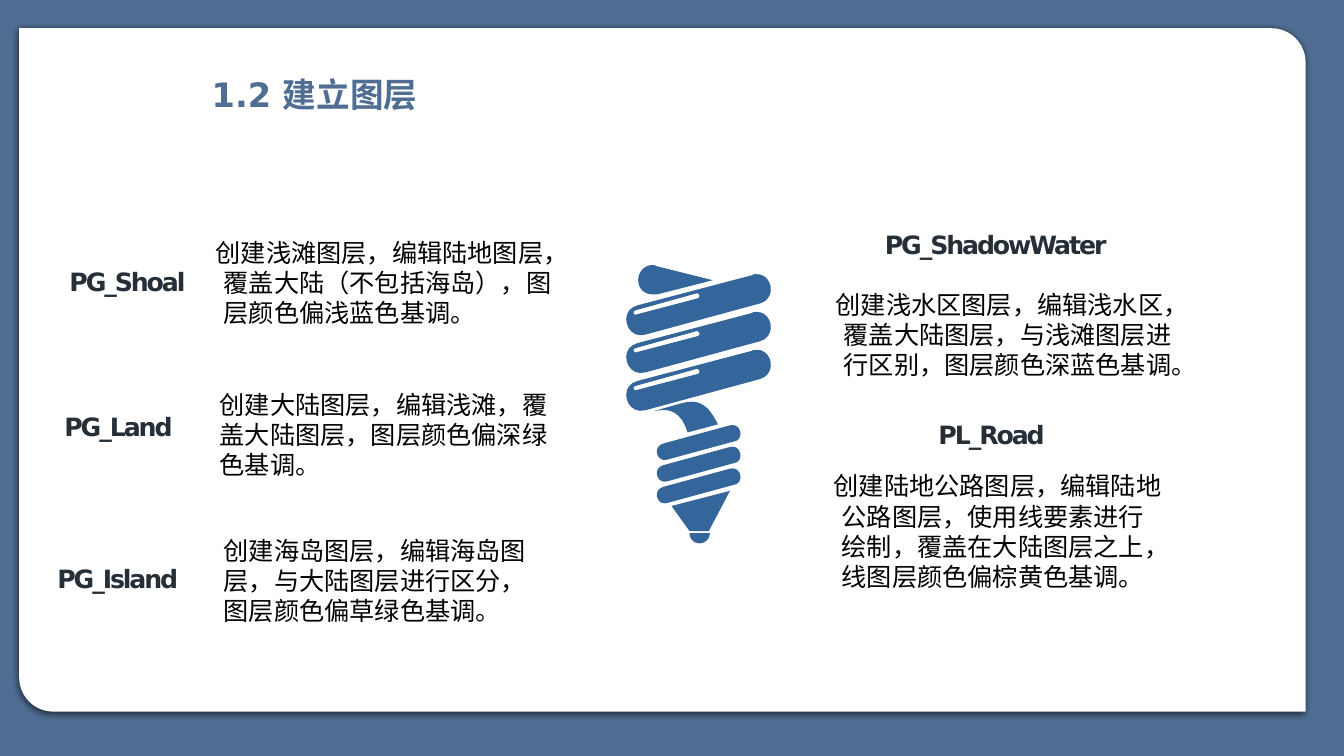
"""Build the slide that lists the map layers around a spiral bulb pencil."""
import dataclasses
import typing

import lxml.etree
import pptx
import pptx.dml.color
import pptx.enum.dml
import pptx.enum.shapes
import pptx.enum.text
import pptx.oxml.ns
import pptx.util

Inches = pptx.util.Inches
Anchor = pptx.enum.text.MSO_ANCHOR
Align = pptx.enum.text.PP_ALIGN
Fit = pptx.enum.text.MSO_AUTO_SIZE
Contour = list[tuple[float, ...]]

FONT = "DejaVu Sans"
SLATE, WHITE, INK, BLACK, BULB_BLUE = "506E94", "FFFFFF", "262F38", "000000", "35669B"
UNITS_PER_INCH = 1000
CURVE_STEPS = 10


@dataclasses.dataclass
class Label:
    text: str
    left: float
    top: float
    height: float
    align: Align


@dataclasses.dataclass
class Note:
    lines: list[str]
    left: float
    top: float
    width: float
    height: float
    margin: float = 0
    indent: float = 0


@dataclasses.dataclass
class BulbPart:
    contours: list[Contour]
    copies: int = 1
    pitch: float = 0


LABELS = [
    Label("PG_ShadowWater", 8.6, 2.18, 0.53, Align.CENTER),
    Label("PL_Road", 8.56, 4.06, 0.53, Align.CENTER),
    Label("PG_Shoal", 0.59, 2.54, 0.55, Align.LEFT),
    Label("PG_Land", 0.54, 3.97, 0.55, Align.LEFT),
    Label("PG_Island", 0.47, 5.48, 0.55, Align.LEFT),
]

NOTES = [
    Note(["创建大陆图层，编辑浅滩，覆", "盖大陆图层，图层颜色偏深绿", "色基调。"], 2.08, 3.81, 4.27, 1.01),
    Note(["创建浅滩图层，编辑陆地图层，覆盖大陆（不包括海岛），图层颜色偏浅蓝色基调。"],
         1.87, 2.3, 3.85, 1.01, 0.25, -0.08),
    Note(["创建海岛图层，编辑海岛图层，与大陆图层进行区分，图层颜色偏草绿色基调。"],
         2.12, 5.26, 3.25, 1.31),
    Note(["创建浅水区图层，编辑浅水区，覆盖大陆图层，与浅滩图层进行区别，图层颜色深蓝色基调。"],
         8.02, 2.82, 3.76, 1.01, 0.25, -0.08),
    Note(["创建陆地公路图层，编辑陆地公路图层，使用线要素进行绘制，覆盖在大陆图层之上，线图层颜色偏棕黄色基调。"],
         8, 4.62, 3.67, 1.62, 0.25, -0.08),
]

COIL = [(7.5, 2.72), (7.66, 2.71, 7.71, 2.96, 7.54, 3.01), (6.4, 3.32),
        (6.21, 3.37, 6.13, 3.08, 6.32, 3.03), (7.46, 2.73), (7.47, 2.72, 7.49, 2.72, 7.5, 2.72)]
GLINT = [(6.91, 2.91), (6.3, 3.08), (6.27, 3.09, 6.29, 3.13, 6.31, 3.12), (6.92, 2.96),
         (6.95, 2.95, 6.94, 2.91, 6.91, 2.91)]
THREAD = [(6.58, 4.4), (6.47, 4.43, 6.51, 4.59, 6.62, 4.56), (7.28, 4.38),
          (7.39, 4.36, 7.35, 4.19, 7.24, 4.22)]
NECK = [(6.76, 4), (6.97, 3.94, 7.05, 4.07, 7.12, 4.21), (6.82, 4.29),
        (6.74, 4.03, 6.58, 4.06, 6.48, 4.08)]
CONE = [(7.24, 4.87), (7.03, 5.27), (6.84, 5.27), (6.66, 5.02)]
TIP = [(7.04, 5.29), (7.04, 5.35, 6.99, 5.39, 6.94, 5.39), (6.88, 5.39, 6.84, 5.35, 6.84, 5.29)]
CAP = [(6.47, 2.63), (6.48, 2.63, 6.5, 2.63, 6.51, 2.64), (7.07, 2.78), (6.52, 2.92),
       (6.5, 2.92, 6.49, 2.92, 6.47, 2.92), (6.39, 2.92, 6.33, 2.86, 6.33, 2.78),
       (6.33, 2.7, 6.39, 2.63, 6.47, 2.63)]

BULB = [
    BulbPart([THREAD], 3, 0.215),
    BulbPart([NECK]),
    BulbPart([CONE]),
    BulbPart([TIP]),
    BulbPart([CAP]),
    BulbPart([GLINT, COIL], 3, 0.375),
]


def colour(target: typing.Any, value: str) -> None:
    """Give a fill or a font one solid colour."""
    if hasattr(target, "solid"):
        target.solid()
        target = target.fore_color
    else:
        target = target.color
    target.rgb = pptx.dml.color.RGBColor.from_string(value)


def apply(target: typing.Any, values: dict[str, typing.Any]) -> None:
    """Set every named attribute on the target."""
    for name, value in values.items():
        setattr(target, name, value)


def write(box: typing.Any, lines: list[str], size: float, ink: str, bold: bool,
          frame_format: dict[str, typing.Any], para_format: dict[str, typing.Any]) -> None:
    """Fill a text shape with one paragraph per line."""
    frame = box.text_frame
    apply(frame, {"word_wrap": True, **frame_format})
    for index, line in enumerate(lines):
        para = frame.add_paragraph() if index else frame.paragraphs[0]
        apply(para, para_format)
        span = para.add_run()
        span.text = line
        apply(span.font, {"name": FONT, "size": pptx.util.Pt(size), "bold": bold})
        colour(span.font, ink)


def add_card(page: typing.Any) -> None:
    """Draw the white card with two rounded corners and a soft shadow."""
    card = page.shapes.add_shape(pptx.enum.shapes.MSO_SHAPE.ROUND_2_DIAG_RECTANGLE,
                                 Inches(0.19), Inches(0.28), Inches(12.76), Inches(6.78))
    card.adjustments[0], card.adjustments[1] = 0, 0.05
    colour(card.fill, WHITE)
    card.line.fill.background()
    card.shadow.inherit = False
    qn = pptx.oxml.ns.qn
    effects = card.element.spPr.find(qn("a:effectLst"))
    shadow = lxml.etree.SubElement(effects, qn("a:outerShdw"), blurRad="57150", dist="19050",
                                   dir="5400000", algn="ctr", rotWithShape="0")
    tone = lxml.etree.SubElement(shadow, qn("a:srgbClr"), val=BLACK)
    lxml.etree.SubElement(tone, qn("a:alpha"), val="63000")


def add_title(page: typing.Any) -> None:
    """Place and format the slide title."""
    title = page.shapes.title
    apply(title, {"left": Inches(2), "top": Inches(0.68), "width": Inches(5.66), "height": Inches(0.5)})
    write(title, ["1.2 建立图层"], 24, SLATE, True,
          {"vertical_anchor": Anchor.TOP, "auto_size": Fit.SHAPE_TO_FIT_TEXT}, {"alignment": Align.LEFT})


def add_label(page: typing.Any, label: Label) -> None:
    """Write a layer name in tight bold type."""
    box = page.shapes.add_textbox(Inches(label.left), Inches(label.top), Inches(2.55), Inches(label.height))
    write(box, [label.text], 18, INK, True, {"vertical_anchor": Anchor.MIDDLE},
          {"alignment": label.align, "line_spacing": 0.9})
    box.text_frame.paragraphs[0].runs[0].font._element.set("spc", "-150")


def add_note(page: typing.Any, note: Note) -> None:
    """Write a layer description with its indents."""
    box = page.shapes.add_textbox(Inches(note.left), Inches(note.top), Inches(note.width), Inches(note.height))
    write(box, note.lines, 18, BLACK, False, {"auto_size": Fit.SHAPE_TO_FIT_TEXT}, {"alignment": Align.LEFT})
    for para in box.text_frame.paragraphs:
        properties = para._p.get_or_add_pPr()
        properties.set("marL", str(Inches(note.margin)))
        properties.set("indent", str(Inches(note.indent)))


def flatten(contour: Contour, drop: float) -> list[tuple[float, float]]:
    """Turn lines and cubic curves into points, moved down by a drop."""
    points = [contour[0]]
    for step in contour[1:]:
        if len(step) == 2:
            points.append(step)
            continue
        nodes = [points[-1], step[:2], step[2:4], step[4:]]
        for index in range(1, CURVE_STEPS + 1):
            t = index / CURVE_STEPS
            weights = ((1 - t) ** 3, 3 * t * (1 - t) ** 2, 3 * t * t * (1 - t), t ** 3)
            points.append(tuple(sum(w * node[axis] for w, node in zip(weights, nodes)) for axis in (0, 1)))
    return [(x * UNITS_PER_INCH, (y + drop) * UNITS_PER_INCH) for x, y in points]


def add_bulb_part(page: typing.Any, part: BulbPart) -> None:
    """Draw each copy of a bulb part at its pitch."""
    for copy_index in range(part.copies):
        outlines = [flatten(contour, copy_index * part.pitch) for contour in part.contours]
        builder = page.shapes.build_freeform(*outlines[0][0], scale=Inches(1) / UNITS_PER_INCH)
        for index, outline in enumerate(outlines):
            if index:
                builder.move_to(*outline[0])
            builder.add_line_segments(outline[1:], close=True)
        shape = builder.convert_to_shape()
        colour(shape.fill, BULB_BLUE)
        shape.line.fill.background()
        shape.shadow.inherit = False


def main() -> None:
    """Build and save the deck."""
    deck = pptx.Presentation()
    apply(deck, {"slide_width": Inches(13.33), "slide_height": Inches(7.5)})
    page = deck.slides.add_slide(deck.slide_layouts[5])
    colour(page.background.fill, SLATE)
    add_card(page)
    add_title(page)
    page.shapes._spTree.append(page.shapes.title.element)
    for label in LABELS:
        add_label(page, label)
    for part in BULB:
        add_bulb_part(page, part)
    for note in NOTES:
        add_note(page, note)
    deck.save("out.pptx")


if __name__ == "__main__":
    main()
